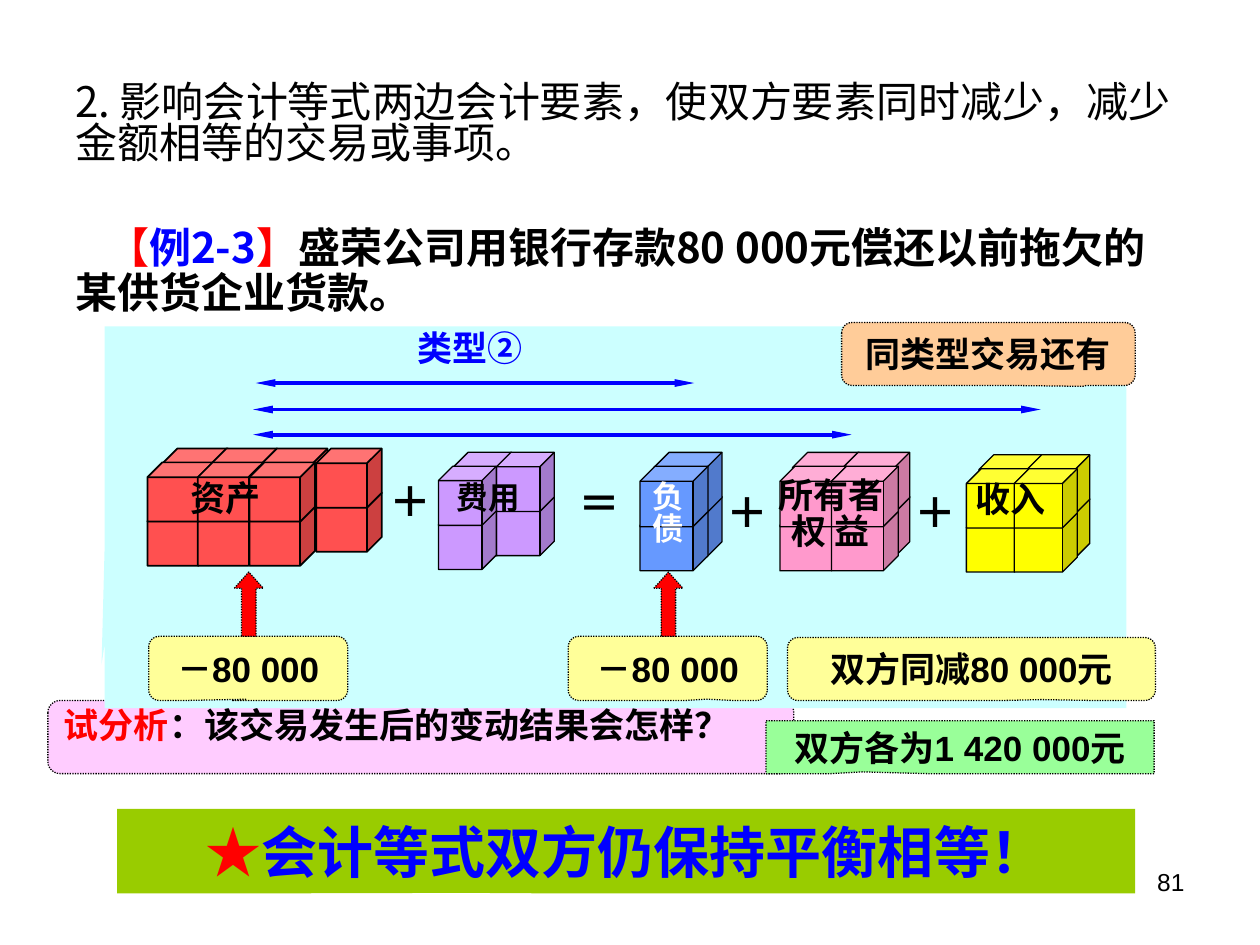
from lxml import etree
from pptx import Presentation
from pptx.dml.color import RGBColor
from pptx.enum import dml, shapes, text
from pptx.oxml.ns import qn
from pptx.util import Inches, Pt

COLORS = {
    "black": "000000", "white": "FFFFFF", "red": "FF0000", "blue": "0000FF",
    "panel": "CCFFFF", "question": "FFCCFF", "answer": "99FF99",
    "change": "FFFF99", "similar": "FFCC99", "banner": "99CC00",
    "assets": "FF5050", "costs": "CC99FF", "debts": "6699FF",
    "equity": "FF99CC", "income": "FFFF00",
}
CJK = "Noto Sans CJK SC"
LATIN = "Arial"
SHAPE = shapes.MSO_SHAPE
LEFT, CENTER, RIGHT = text.PP_ALIGN.LEFT, text.PP_ALIGN.CENTER, text.PP_ALIGN.RIGHT
TOP, MIDDLE = text.MSO_ANCHOR.TOP, text.MSO_ANCHOR.MIDDLE


def rgb(name):
    return RGBColor.from_string(COLORS[name])


def inside(box, dx, dy, w, h):
    """Box placed by an offset from the corner of a region."""
    return box[0] + dx, box[1] + dy, w, h


def write(sp, paragraphs, size=20, font=CJK, color="black", bold=True,
          align=CENTER, anchor=MIDDLE, spacing=None, indent=None):
    """Fill a shape; a paragraph is a string or a list of (text, color[, bold])."""
    tf = sp.text_frame
    tf.word_wrap = True
    tf.auto_size = text.MSO_AUTO_SIZE.NONE
    tf.vertical_anchor = anchor
    for i, runs in enumerate(paragraphs):
        p = tf.paragraphs[0] if i == 0 else tf.add_paragraph()
        p.alignment = align
        p.space_before = Pt(0)
        if spacing:
            p.line_spacing = spacing
        if indent is not None:
            pPr = p._p.get_or_add_pPr()
            pPr.set("marL", "0")
            pPr.set("indent", str(Inches(indent)))
            etree.SubElement(pPr, qn("a:buNone"))
        for words, tint, *weight in [(runs, color)] if isinstance(runs, str) else runs:
            r = p.add_run()
            r.text = words
            r.font.size = Pt(size)
            r.font.bold = weight[0] if weight else bold
            r.font.color.rgb = rgb(tint)
            r.font.name = font
            etree.SubElement(r._r.get_or_add_rPr(), qn("a:ea"), typeface=CJK)


def place(sp, box):
    sp.left, sp.top, sp.width, sp.height = (Inches(v) for v in box)


def add_shape(s, kind, box, fill, line=None, dotted=False, adj=()):
    sp = s.shapes.add_shape(kind, *(Inches(v) for v in box))
    sp.shadow.inherit = False
    sp.fill.solid()
    sp.fill.fore_color.rgb = rgb(fill)
    if line:
        sp.line.color.rgb = rgb("black")
        sp.line.width = Pt(line)
        if dotted:
            sp.line.dash_style = dml.MSO_LINE.ROUND_DOT
    else:
        sp.line.fill.background()
    for i, value in enumerate(adj):
        sp.adjustments[i] = value
    return sp


def add_rounded(s, box, fill, tip):
    return add_shape(s, SHAPE.ROUNDED_RECTANGULAR_CALLOUT, box, fill, 0.75, True,
                     (*tip, 0.167))


def add_label(s, box, *paragraphs, **style):
    sp = s.shapes.add_textbox(*(Inches(v) for v in box))
    write(sp, paragraphs, **{"anchor": TOP, "spacing": 0.85, **style})


def add_double_arrow(s, box, x1, x2, y):
    ends = (box[0] + x1, box[1] + y, box[0] + x2, box[1] + y)
    c = s.shapes.add_connector(shapes.MSO_CONNECTOR.STRAIGHT, *(Inches(v) for v in ends))
    c.line.color.rgb = rgb("blue")
    c.line.width = Pt(2.25)
    ln = c.line._get_or_add_ln()
    for end in ("a:headEnd", "a:tailEnd"):
        etree.SubElement(ln, qn(end), type="triangle", w="sm", len="lg")
    etree.SubElement(c._element.spPr, qn("a:effectLst"))


def add_cubes(s, box, fill, back, front, top, size, line=0.75):
    """Two layers of cubes, each two rows high."""
    for columns, y in ((back, top), (front, top + 0.11)):
        for row_y in (y + 0.35, y):
            for x in columns:
                add_shape(s, SHAPE.CUBE, inside(box, x, row_y, *size), fill, line)


def build_heading(s, box):
    x, y, w, _ = box
    title, body = s.shapes.title, s.placeholders[1]
    place(title, (x, y, w, 1.25))
    write(title, ["2. 影响会计等式两边会计要素，使双方要素同时减少，减少金额相等的交易或事项。"],
          size=24, bold=False, align=LEFT, anchor=TOP, spacing=0.82)
    place(body, (x, y + 0.96, w, 1.17))
    write(body, [[("【", "red"), ("例2-3", "blue"), ("】", "red"),
                  ("盛荣公司用银行存款80 000元偿还以前拖欠的某供货企业货款。", "black")]],
          size=24, align=LEFT, spacing=0.89, indent=0.25)


def build_question(s, box):
    sp = add_rounded(s, inside(box, 0, 0, 5.92, 0.58), "question", (0.502, 0.08))
    write(sp, [[("试分析", "red"), ("：该交易发生后的变动结果会怎样？", "black")]],
          font=LATIN, align=LEFT, anchor=TOP, spacing=0.85)
    sp = add_shape(s, SHAPE.RECTANGULAR_CALLOUT, inside(box, 5.7, 0.16, 3.08, 0.42),
                   "answer", 0.75, True, (-0.252, 0.467))
    write(sp, ["双方各为1 420 000元"], font=LATIN)


def build_equation(s, box):
    add_shape(s, SHAPE.RECTANGULAR_CALLOUT, box, "panel", adj=(-0.503, 0.386))

    # Links between the two sides
    for x1, x2, y in ((1.2, 4.68, 0.45), (1.18, 7.43, 0.66), (1.18, 5.93, 0.86)):
        add_double_arrow(s, box, x1, x2, y)
    add_label(s, inside(box, 2.35, 0, 1.1, 0.55), "类型②", color="blue")

    # Cube stacks
    add_cubes(s, box, "assets", (0.46, 0.85, 1.25, 1.68), (0.34, 0.74, 1.15),
              0.97, (0.52, 0.47), 1)
    add_cubes(s, box, "costs", (2.77, 3.11), (2.65,), 1, (0.46, 0.47))
    add_cubes(s, box, "debts", (4.36,), (4.25,), 1, (0.54, 0.48))
    add_cubes(s, box, "equity", (5.46, 5.86), (5.36, 5.77), 1, (0.53, 0.48))
    add_cubes(s, box, "income", (6.94, 7.32), (6.84, 7.22), 1.02, (0.5, 0.47))

    # Names of the elements
    add_label(s, inside(box, 0.48, 1.19, 0.96, 0.59), "资产")
    add_label(s, inside(box, 2.64, 1.2, 0.81, 0.58), "费用", size=18)
    add_label(s, inside(box, 4.25, 1.19, 0.39, 0.51), "负债", size=18, color="white")
    add_label(s, inside(box, 5.22, 1.17, 1.09, 0.77), "所有者", "权 益")
    add_label(s, inside(box, 6.81, 1.2, 0.87, 0.59), "收入", align=LEFT)

    # Operators
    for sign, x, y, w in (("＋", 2.15, 1.2, 0.55), ("＝", 3.57, 1.21, 0.71),
                          ("＋", 4.83, 1.28, 0.55), ("＋", 6.32, 1.28, 0.55)):
        add_label(s, inside(box, x, y, w, 0.46), sign, size=24)

    # Changes on each side
    for x, tip in ((0.35, (-0.007, 0.48)), (3.68, (0.195, 0.479))):
        sp = add_rounded(s, inside(box, x, 2.46, 1.58, 0.51), "change", tip)
        write(sp, ["－80 000"], font=LATIN)
        add_shape(s, SHAPE.UP_ARROW, inside(box, x + 0.68, 1.95, 0.23, 0.51),
                  "red", 0.75, True, (0.5, 0.559))

    # Remarks
    sp = add_rounded(s, inside(box, 5.85, -0.03, 2.33, 0.5), "similar", (0.321, 0.514))
    write(sp, ["同类型交易还有"], font=LATIN)
    sp = add_rounded(s, inside(box, 5.42, 2.47, 2.92, 0.5), "change", (0.19, 0.486))
    write(sp, ["双方同减80 000元"], font=LATIN)


def build_banner(s, box):
    sp = add_shape(s, SHAPE.RECTANGULAR_CALLOUT, box, "banner", adj=(-0.156, 0.495))
    write(sp, [[("★", "red", False), ("会计等式双方仍保持平衡相等！", "blue")]],
          size=32, font=LATIN)


def build_page_number(s, box):
    add_label(s, box, "81", size=14, font=LATIN, bold=False, align=RIGHT, spacing=1)


def main():
    prs = Presentation()
    prs.slide_width, prs.slide_height = Inches(10), Inches(7.5)
    s = prs.slides.add_slide(prs.slide_layouts[1])
    build_heading(s, (0.5, 0.62, 9, 2.13))
    build_question(s, (0.38, 5.56, 8.78, 0.58))
    build_equation(s, (0.83, 2.59, 8.11, 3.03))
    build_banner(s, (0.93, 6.42, 8.08, 0.67))
    build_page_number(s, (7.17, 6.83, 2.33, 0.52))
    prs.save("out.pptx")


if __name__ == "__main__":
    main()
